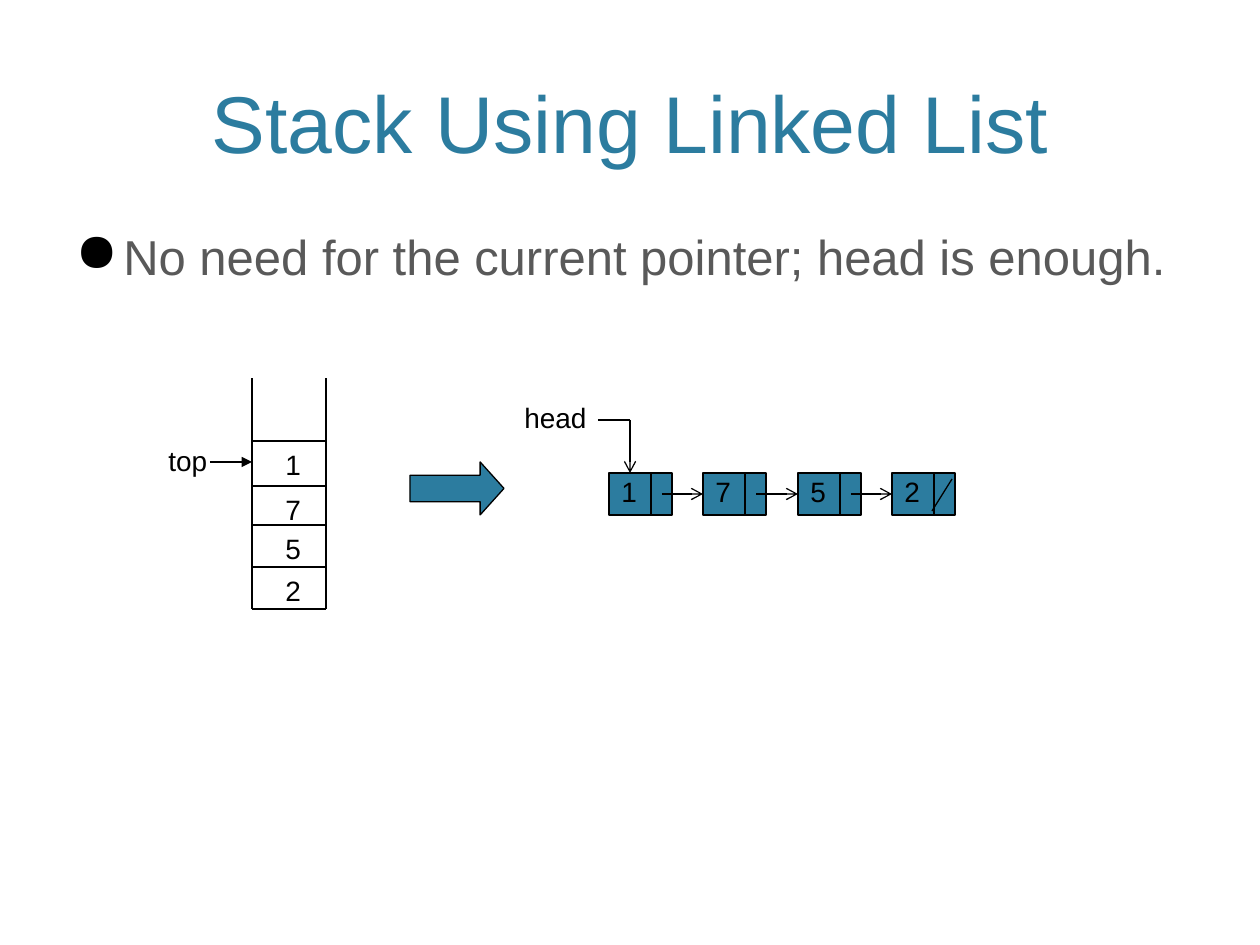
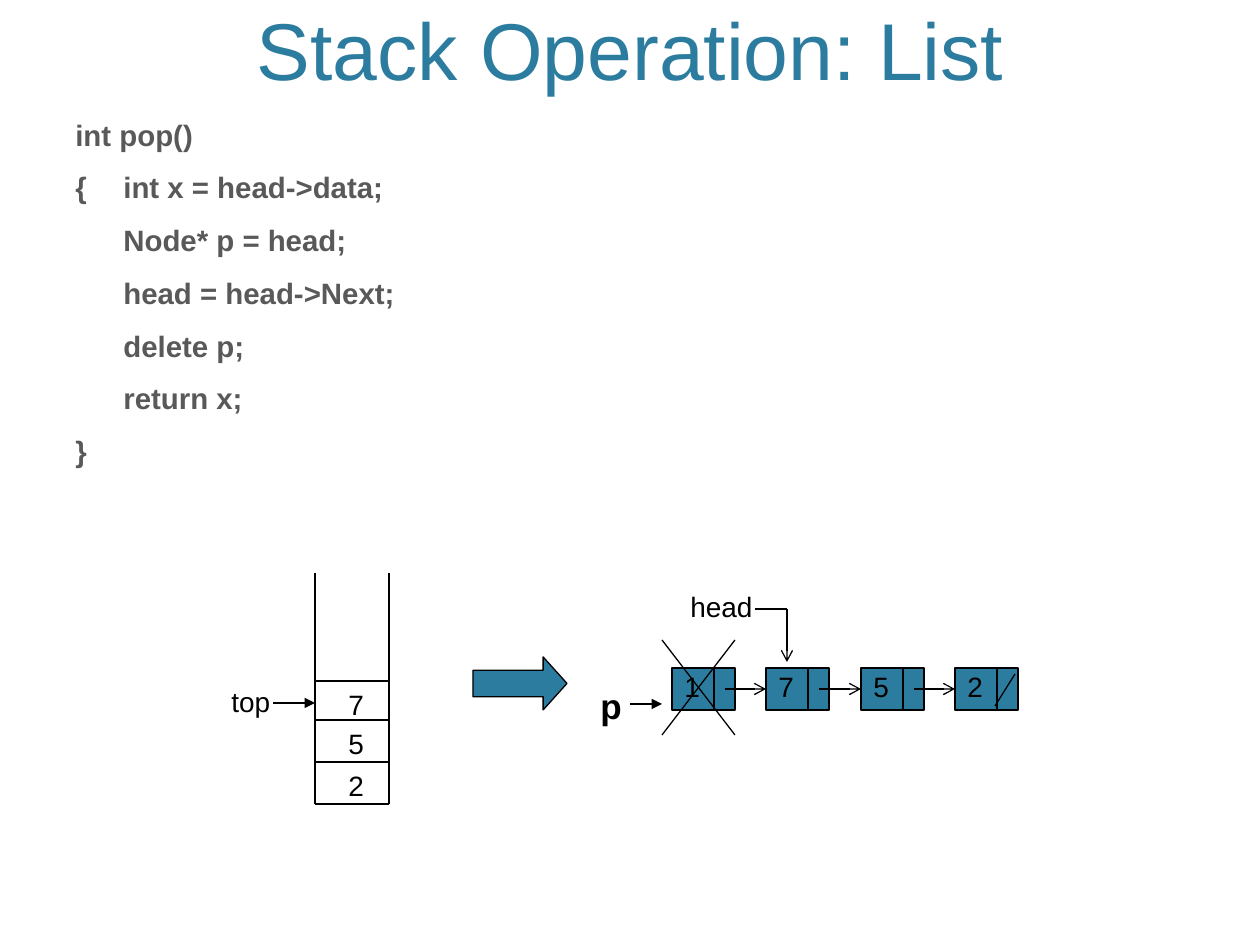
import lxml.etree
import pptx
import pptx.dml.color
import pptx.enum.shapes
import pptx.enum.text
import pptx.oxml.ns
import pptx.util

PX_PER_INCH = 126
COLORS = {"teal": "2C7C9F", "gray": "595959", "black": "000000"}
FONT = "Arial"
STACK_W, STACK_H = 74, 231
STACK_DIVIDERS = [63, 108, 147, 189]
NODE_W, NODE_H, DATA_W = 63, 42, 42
CODE = [
    "int pop()",
    "{\tint x = head->data;",
    "\tNode* p = head;",
    "\thead = head->Next;",
    "\tdelete p;",
    "\treturn x;",
    "}",
]


def px(n):
    return pptx.util.Emu(round(n * 914400 / PX_PER_INCH))


def rgb(name):
    return pptx.dml.color.RGBColor.from_string(COLORS[name])


def sub(parent, tag, **attrs):
    return lxml.etree.SubElement(parent, pptx.oxml.ns.qn(tag), **attrs)


def format_runs(p, size, color, bold=False):
    for r in p.runs:
        r.font.name = FONT
        r.font.size = pptx.util.Pt(size)
        r.font.bold = bold
        r.font.color.rgb = rgb(color)


def add_line(s, x1, y1, x2, y2, head=None):
    """Draw a thin black line, with an arrowhead of the given type at its end."""
    line = s.shapes.add_connector(
        pptx.enum.shapes.MSO_CONNECTOR.STRAIGHT, px(x1), px(y1), px(x2), px(y2))
    line.line.color.rgb = rgb("black")
    line.line.width = pptx.util.Pt(0.75)
    if head:
        sub(line.line._get_or_add_ln(), "a:tailEnd", type=head)
    sub(line._element.spPr, "a:effectLst")


def add_block(s, kind, x, y, w, h):
    sp = s.shapes.add_shape(kind, px(x), px(y), px(w), px(h))
    sp.shadow.inherit = False
    sp.fill.solid()
    sp.fill.fore_color.rgb = rgb("teal")
    sp.line.color.rgb = rgb("black")
    sp.line.width = pptx.util.Pt(0.75)
    return sp


def add_label(s, text, x, y, w, h=47, size=16, bold=False):
    tf = s.shapes.add_textbox(px(x), px(y), px(w), px(h)).text_frame
    tf.word_wrap = False
    tf.text = text
    format_runs(tf.paragraphs[0], size, "black", bold)


def add_slide(prs, title, top):
    s = prs.slides.add_slide(prs.slide_layouts[5])
    sp = s.shapes.title
    sp.left, sp.top, sp.width, sp.height = px(63), px(top), px(1134), px(126)
    tf = sp.text_frame
    tf.text = title
    tf.vertical_anchor = pptx.enum.text.MSO_ANCHOR.BOTTOM
    tf.paragraphs[0].alignment = pptx.enum.text.PP_ALIGN.CENTER
    format_runs(tf.paragraphs[0], 46, "teal")
    return s


def add_body(s, lines, y, h, size, bullet=False, bold=False, spacing=None):
    """Write hanging-indent paragraphs across the slide."""
    tf = s.shapes.add_textbox(px(63), px(y), px(1134), px(h)).text_frame
    tf.word_wrap = True
    for i, line in enumerate(lines):
        p = tf.add_paragraph() if i else tf.paragraphs[0]
        p.text = line
        if i:
            p.space_before = pptx.util.Pt(20)
        if spacing:
            p.line_spacing = spacing
        pPr = p._p.get_or_add_pPr()
        pPr.set("marL", str(px(48)))
        pPr.set("indent", str(-px(48)))
        if bullet:
            sub(sub(pPr, "a:buClr"), "a:srgbClr", val=COLORS["black"])
            sub(pPr, "a:buSzPct", val="110000")
            sub(pPr, "a:buChar", char="●")
        format_runs(p, size, "gray", bold)


def draw_stack(s, x, y, items, top_y):
    """Draw an open-topped stack whose top pointer sits top_y below its rim."""
    for side in (x, x + STACK_W):
        add_line(s, side, y, side, y + STACK_H)
    add_line(s, x, y + STACK_H, x + STACK_W, y + STACK_H)
    for item, divider in zip(items, STACK_DIVIDERS[-len(items):]):
        add_line(s, x, y + divider, x + STACK_W, y + divider)
        add_label(s, item, x + 21, y + divider, 40)
    add_label(s, "top", x - 96, y + top_y - 25, 64)
    add_line(s, x - 42, y + top_y, x, y + top_y, "triangle")


def node_left(x, i):
    return x + i * 189 // 2


def draw_list(s, x, y, items):
    for i, item in enumerate(items):
        left = node_left(x, i)
        add_block(s, pptx.enum.shapes.MSO_SHAPE.RECTANGLE, left, y, NODE_W, NODE_H)
        add_line(s, left + DATA_W, y, left + DATA_W, y + NODE_H)
        add_label(s, item, left, y - 5, 40)
        if i < len(items) - 1:
            add_line(s, left + 53, y + 21, node_left(x, i + 1), y + 21, "arrow")
        else:
            add_line(s, left + 60, y + 6, left + 40, y + 38)


def draw_head(s, x, y, label_gap):
    """Draw the bent head pointer, ending at x, y."""
    start, bend = x - 32, y - 53
    add_label(s, "head", start - label_gap, bend - 26, 87)
    add_line(s, start, bend, x, bend)
    add_line(s, x, bend, x, y, "arrow")


def draw_deleted(s, x, y):
    """Cross out the node at x, y and point p at it."""
    left, right, top, bottom = x - 10, x + NODE_W, y - 28, y + 67
    add_line(s, right, top, left, bottom)
    add_line(s, left, top, right, bottom)
    add_label(s, "p", x - 84, y + 10, 47, 55, size=20, bold=True)
    add_line(s, x - 42, y + 36, left, y + 36, "triangle")


def draw_diagram(s, x, y, stack_items, top_y):
    """Draw the stack, the block arrow and the list; return the list's corner."""
    draw_stack(s, x, y, stack_items, top_y)
    arrow = add_block(s, pptx.enum.shapes.MSO_SHAPE.RIGHT_ARROW, x + 158, y + 84, 94, 53)
    arrow.adjustments[0], arrow.adjustments[1] = 0.5, 0.45
    list_x, list_y = x + 357, y + 95
    draw_list(s, list_x, list_y, "1752")
    return list_x, list_y


def linked_list_slide(prs):
    s = add_slide(prs, "Stack Using Linked List", 50)
    add_body(s, ["No need for the current pointer; head is enough."], 220, 84, 28, bullet=True)
    x, y = draw_diagram(s, 252, 378, "1752", 84)
    draw_head(s, x + 21, y, 86)


def pop_slide(prs):
    s = add_slide(prs, "Stack Operation: List", -23)
    add_body(s, CODE, 126, 325, 16.8, bold=True, spacing=0.5)
    x, y = draw_diagram(s, 315, 573, "752", 130)
    draw_head(s, node_left(x, 1) + 21, y - 6, 77)
    draw_deleted(s, x, y)


def main():
    prs = pptx.Presentation()
    prs.slide_width, prs.slide_height = px(1260), px(945)
    linked_list_slide(prs)
    pop_slide(prs)
    prs.save("out.pptx")


if __name__ == "__main__":
    main()
